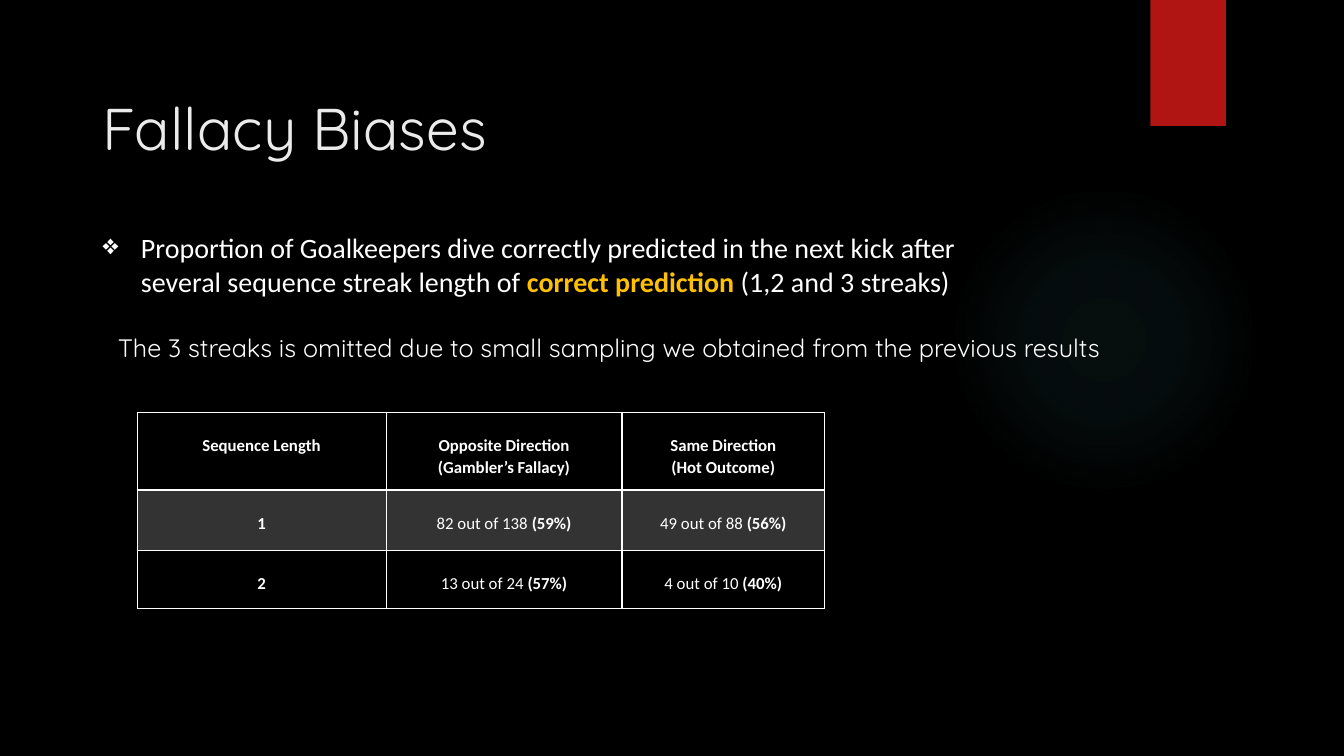
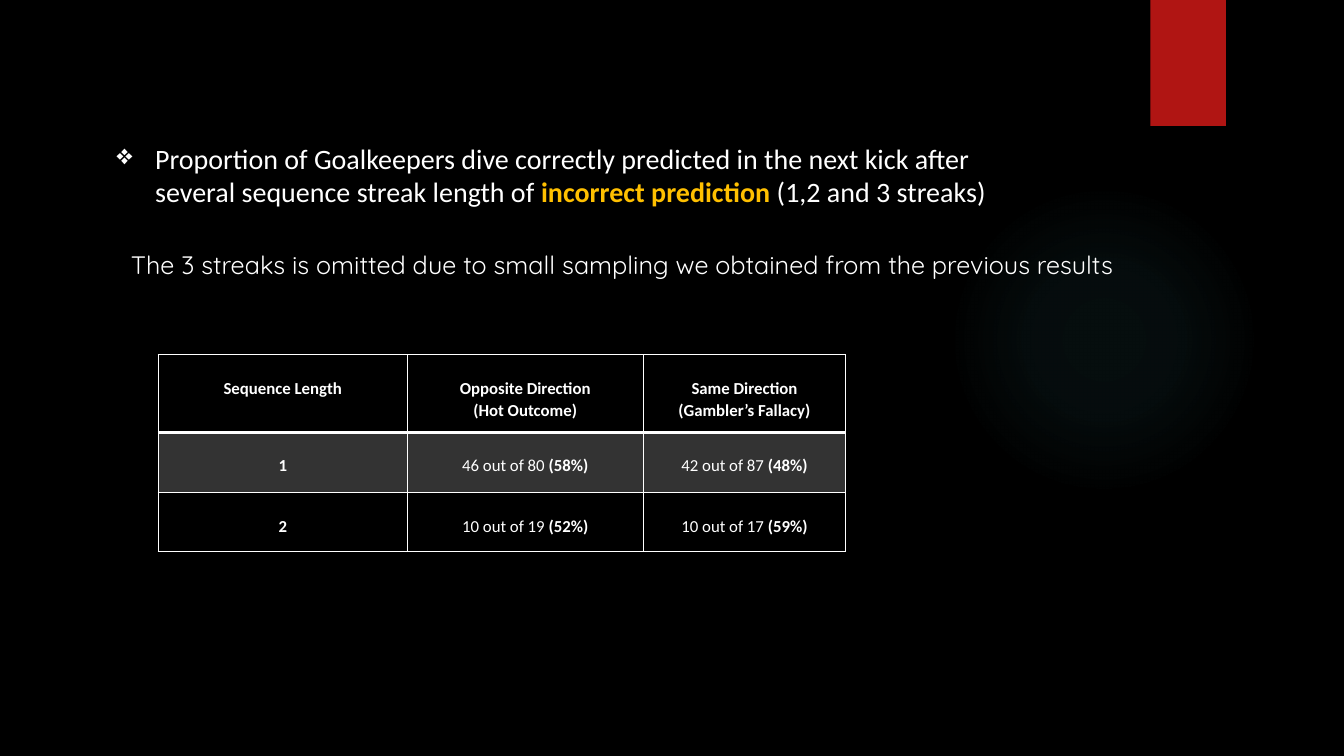
from lxml import etree
from pptx import Presentation
from pptx.dml.color import RGBColor
from pptx.enum.shapes import MSO_SHAPE
from pptx.enum.text import MSO_ANCHOR, PP_ALIGN
from pptx.oxml import parse_xml
from pptx.oxml.ns import nsdecls, qn
from pptx.util import Inches, Pt

RECTANGLE, OVAL = MSO_SHAPE.RECTANGLE, MSO_SHAPE.OVAL
CENTER, LEFT = PP_ALIGN.CENTER, PP_ALIGN.LEFT
TOP = MSO_ANCHOR.TOP

# Shared look
BLACK, WHITE, TITLE_GREY = "000000", "FFFFFF", "EBEBEB"
RED, TEAL, AMBER, BAND_GREY = "B01513", "50B9C1", "FFC000", "333333"
BODY_FONT, DISPLAY_FONT = "Calibri", "Quicksand"
GLOW_STOPS = [(0, 7), (36, 6), (69, 0)]
COLUMN_WIDTHS = [2.47, 2.34, 2.01]
ROW_HEIGHTS = [0.77, 0.6, 0.58]

# Shared wording
CLAIM = ("Proportion of Goalkeepers dive correctly predicted in the next kick "
         "after several sequence streak length of ")
STREAKS = " (1,2 and 3 streaks)"
OMISSION = ("The 3 streaks is omitted due to small sampling we obtained "
            "from the previous results")


def rgb(value):
    return RGBColor.from_string(value)


def set_font(target, name, size, color, bold=False):
    font = target.font
    font.name, font.size, font.bold = name, Pt(size), bold
    font.color.rgb = rgb(color)


def add_plain_shape(slide, preset, left, top, width, height, color):
    shape = slide.shapes.add_shape(preset, Inches(left), Inches(top),
                                   Inches(width), Inches(height))
    shape.shadow.inherit = False
    shape.fill.solid()
    shape.fill.fore_color.rgb = rgb(color)
    shape.line.fill.background()
    return shape


def add_glow(slide):
    glow = add_plain_shape(slide, OVAL, 9.41, 1.83, 3.08, 3.08, TEAL)
    stops = "".join(
        f'<a:gs pos="{pos * 1000}"><a:srgbClr val="{TEAL}">'
        f'<a:alpha val="{alpha * 1000}"/></a:srgbClr></a:gs>'
        for pos, alpha in GLOW_STOPS)
    gradient = parse_xml(
        f'<a:gradFill {nsdecls("a")} rotWithShape="1"><a:gsLst>{stops}</a:gsLst>'
        '<a:path path="circle"><a:fillToRect l="50000" t="50000" r="50000" '
        'b="50000"/></a:path></a:gradFill>')
    properties = glow.element.spPr
    properties.replace(properties.find(qn("a:solidFill")), gradient)


def add_slide(prs, layout_index):
    slide = prs.slides.add_slide(prs.slide_layouts[layout_index])
    add_glow(slide)
    add_plain_shape(slide, RECTANGLE, 11.41, 0, 0.75, 1.25, RED)
    return slide


def set_title(slide, text):
    title = slide.shapes.title
    title.left, title.top = Inches(0.92), Inches(0.86)
    title.width, title.height = Inches(11.5), Inches(1.15)
    title.text_frame.vertical_anchor = TOP
    paragraph = title.text_frame.paragraphs[0]
    paragraph.text = text
    paragraph.alignment = LEFT
    set_font(paragraph, DISPLAY_FONT, 42, TITLE_GREY)


def add_text_box(slide, left, top, width, height):
    box = slide.shapes.add_textbox(Inches(left), Inches(top),
                                   Inches(width), Inches(height))
    box.text_frame.word_wrap = True
    return box.text_frame.paragraphs[0]


def add_claim(slide, left, top, outcome):
    paragraph = add_text_box(slide, left, top, 9.43, 0.77)
    properties = paragraph._p.get_or_add_pPr()
    properties.set("marL", str(Inches(0.38)))
    properties.set("indent", str(-Inches(0.38)))
    etree.SubElement(properties, qn("a:buChar")).set("char", "❖")
    set_font(paragraph, BODY_FONT, 20, WHITE)
    for text in (CLAIM, outcome, STREAKS):
        run = paragraph.add_run()
        run.text = text
        if text == outcome:
            set_font(run, BODY_FONT, 20, AMBER, bold=True)


def add_omission(slide, left, top):
    paragraph = add_text_box(slide, left, top, 9.97, 0.4)
    paragraph.text = OMISSION
    set_font(paragraph, DISPLAY_FONT, 18, WHITE)


def set_borders(cell, top, bottom):
    properties = cell._tc.get_or_add_tcPr()
    for side, width in (("L", 1), ("R", 1), ("T", top), ("B", bottom)):
        properties.append(parse_xml(
            f'<a:ln{side} {nsdecls("a")} w="{Pt(width)}"><a:solidFill>'
            f'<a:srgbClr val="{WHITE}"/></a:solidFill></a:ln{side}>'))


def fill_cell(cell, lines):
    """Write lines, each a (plain, bold) pair, below a one-line top margin."""
    cell.margin_left = cell.margin_right = Inches(0.07)
    cell.margin_top, cell.margin_bottom = Inches(0.22), 0
    frame = cell.text_frame
    for index, (plain, strong) in enumerate(lines):
        paragraph = frame.add_paragraph() if index else frame.paragraphs[0]
        paragraph.alignment = CENTER
        paragraph.line_spacing = 1.07
        set_font(paragraph, BODY_FONT, 12, WHITE)
        for text, bold in ((plain, False), (strong, True)):
            if text:
                run = paragraph.add_run()
                run.text = text
                set_font(run, BODY_FONT, 12, WHITE, bold)


def add_streak_table(slide, left, top, opposite, same, results):
    header = [[("", "Sequence Length")],
              [("", "Opposite Direction"), ("", opposite)],
              [("", "Same Direction"), ("", same)]]
    rows = [header]
    for length, outcomes in enumerate(results, start=1):
        rows.append([[("", str(length))]] + [[outcome] for outcome in outcomes])

    table = slide.shapes.add_table(
        len(rows), len(COLUMN_WIDTHS), Inches(left), Inches(top),
        Inches(sum(COLUMN_WIDTHS)), Inches(sum(ROW_HEIGHTS))).table
    table.first_row = table.horz_banding = False
    for column, width in zip(table.columns, COLUMN_WIDTHS):
        column.width = Inches(width)
    for row, height in zip(table.rows, ROW_HEIGHTS):
        row.height = Inches(height)

    for r, row in enumerate(rows):
        for c, lines in enumerate(row):
            cell = table.cell(r, c)
            fill_cell(cell, lines)
            set_borders(cell, top=2 if r == 1 else 1, bottom=2 if r == 0 else 1)
            if r == 1:
                cell.fill.solid()
                cell.fill.fore_color.rgb = rgb(BAND_GREY)
            else:
                cell.fill.background()


def main():
    prs = Presentation()
    prs.slide_width, prs.slide_height = Inches(13.33), Inches(7.5)
    backdrop = prs.slide_master.background.fill
    backdrop.solid()
    backdrop.fore_color.rgb = rgb(BLACK)
    title_only, blank = 5, 6

    # After correct predictions
    slide = add_slide(prs, title_only)
    set_title(slide, "Fallacy Biases")
    add_streak_table(slide, 1.36, 4.09, "(Gambler’s Fallacy)", "(Hot Outcome)", [
        [("82 out of 138 ", "(59%)"), ("49 out of 88 ", "(56%)")],
        [("13 out of 24 ", "(57%)"), ("4 out of 10 ", "(40%)")],
    ])
    add_claim(slide, 0.92, 2.24, "correct prediction")
    add_omission(slide, 1.07, 3.25)

    # After incorrect predictions
    slide = add_slide(prs, blank)
    add_streak_table(slide, 1.57, 3.52, "(Hot Outcome)", "(Gambler’s Fallacy)", [
        [("46 out of 80 ", "(58%)"), ("42 out of 87 ", "(48%)")],
        [("10 out of 19 ", "(52%)"), ("10 out of 17 ", "(59%)")],
    ])
    add_claim(slide, 1.06, 1.35, "incorrect prediction")
    add_omission(slide, 1.2, 2.42)

    prs.save("out.pptx")


if __name__ == "__main__":
    main()
